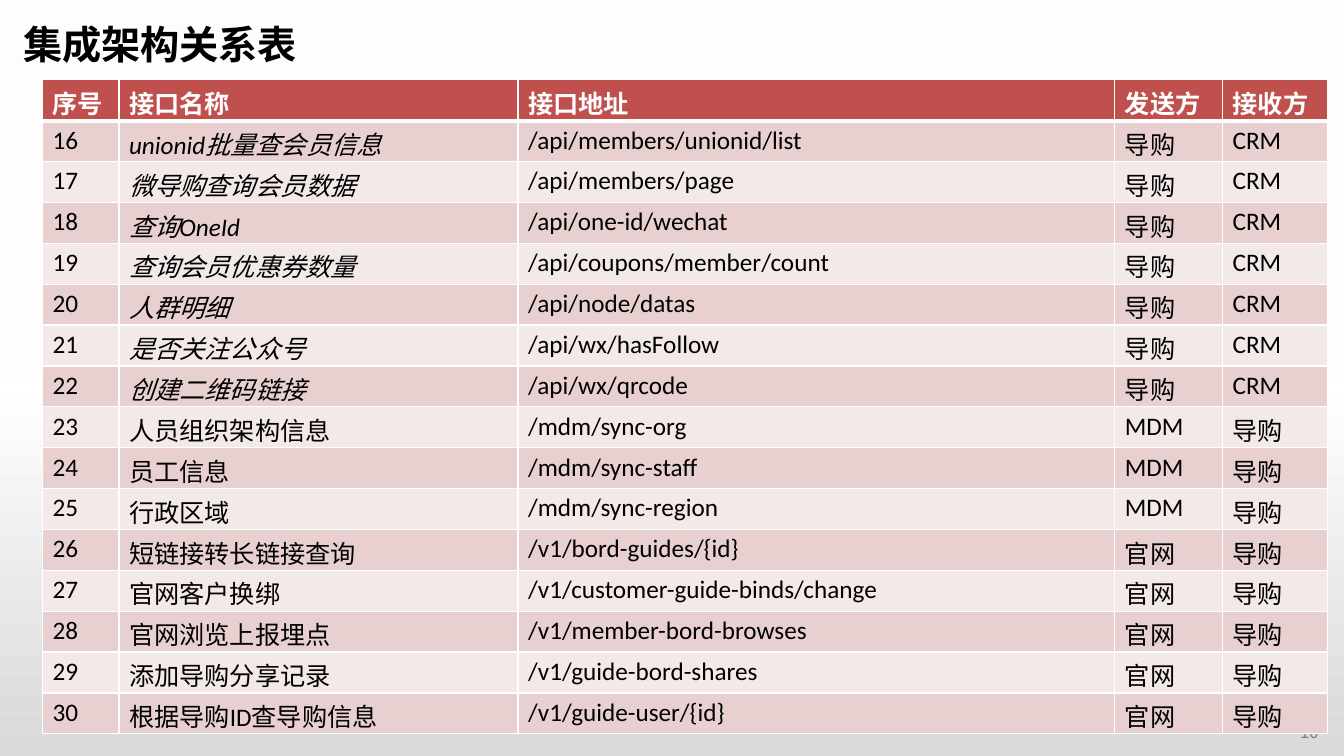
"""Build the integration architecture interface table slide."""
from copy import deepcopy
from typing import NamedTuple

from pptx import Presentation
from pptx.dml.color import RGBColor as Rgb
from pptx.enum.text import MSO_ANCHOR as Anchor
from pptx.oxml import parse_xml
from pptx.oxml.ns import nsdecls, qn
from pptx.util import Pt

COLORS = {
    "top": "FDFDFD", "middle": "FFFFFF", "bottom": "D9D9D9",
    "header": "C0504D", "odd": "E8D0D0", "even": "F4E9E9",
    "white": "FFFFFF", "black": "000000", "gray": "808080",
}
CJK_FONT = "Noto Sans CJK SC"
LATIN_FONT = "Calibri"
COLUMN_WIDTHS = (54.7, 285.1, 426.2, 77, 74.9)
ROW_HEIGHT = 29.2
FIRST_NUMBER = 16


class TextStyle(NamedTuple):
    size: float
    font: str
    color: str
    bold: bool = False
    italic: bool = False


class Label(NamedTuple):
    text: str
    left: float
    top: float
    width: float
    height: float
    style: TextStyle


class Interface(NamedTuple):
    name: str
    address: str
    sender: str
    receiver: str
    italic: bool = False


PAGE_NUMBER = Label("10", 921.6, 512.6, 36.7, 20.9, TextStyle(12, CJK_FONT, "gray"))
TITLE = Label("集成架构关系表", 9.4, 10.8, 547.9, 41, TextStyle(28, CJK_FONT, "black", True))
HEADINGS = ("序号", "接口名称", "接口地址", "发送方", "接收方")
INTERFACES = (
    Interface("unionid批量查会员信息", "/api/members/unionid/list", "导购", "CRM", True),
    Interface("微导购查询会员数据", "/api/members/page", "导购", "CRM", True),
    Interface("查询OneId", "/api/one-id/wechat", "导购", "CRM", True),
    Interface("查询会员优惠券数量", "/api/coupons/member/count", "导购", "CRM", True),
    Interface("人群明细", "/api/node/datas", "导购", "CRM", True),
    Interface("是否关注公众号", "/api/wx/hasFollow", "导购", "CRM", True),
    Interface("创建二维码链接", "/api/wx/qrcode", "导购", "CRM", True),
    Interface("人员组织架构信息", "/mdm/sync-org", "MDM", "导购"),
    Interface("员工信息", "/mdm/sync-staff", "MDM", "导购"),
    Interface("行政区域", "/mdm/sync-region", "MDM", "导购"),
    Interface("短链接转长链接查询", "/v1/bord-guides/{id}", "官网", "导购"),
    Interface("官网客户换绑", "/v1/customer-guide-binds/change", "官网", "导购"),
    Interface("官网浏览上报埋点", "/v1/member-bord-browses", "官网", "导购"),
    Interface("添加导购分享记录", "/v1/guide-bord-shares", "官网", "导购"),
    Interface("根据导购ID查导购信息", "/v1/guide-user/{id}", "官网", "导购"),
)


def rgb(name: str) -> Rgb:
    return Rgb.from_string(COLORS[name])


def write(frame, text: str, style: TextStyle) -> None:
    frame.text = text
    for span in frame.paragraphs[0].runs:
        font = span.font
        font.size, font.name = Pt(style.size), style.font
        font.bold, font.italic = style.bold, style.italic
        font.color.rgb = rgb(style.color)
        east_asian = parse_xml(f'<a:ea {nsdecls("a")} typeface="{CJK_FONT}"/>')
        font._element.find(qn("a:latin")).addnext(east_asian)


def paint_background(page) -> None:
    fill = page.background.fill
    fill.gradient()
    fill.gradient_angle = 270
    first, last = fill.gradient_stops
    first.position, last.position = 0, 1
    first.color.rgb, last.color.rgb = rgb("middle"), rgb("bottom")
    stops = page.element.find(f".//{qn('a:gsLst')}")
    middle = deepcopy(stops[0])
    middle.set("pos", "50000")
    stops.insert(1, middle)
    first.color.rgb = rgb("top")


def add_label(page, label: Label) -> None:
    box = page.shapes.add_textbox(
        Pt(label.left), Pt(label.top), Pt(label.width), Pt(label.height))
    frame = box.text_frame
    frame.word_wrap = True
    frame.vertical_anchor = Anchor.MIDDLE
    write(frame, label.text, label.style)


def add_borders(cell, top: float, bottom: float) -> None:
    properties = cell._tc.get_or_add_tcPr()
    widths = {"L": 1, "R": 1, "T": top, "B": bottom}
    for index, (side, width) in enumerate(widths.items()):
        properties.insert(index, parse_xml(
            f'<a:ln{side} {nsdecls("a")} w="{Pt(width)}"><a:solidFill>'
            f'<a:srgbClr val="{COLORS["white"]}"/></a:solidFill></a:ln{side}>'))


def fill_row(cells, texts: tuple, row: int, italic: bool) -> None:
    is_header = row == 0
    fill_name = "header" if is_header else ("odd" if row % 2 else "even")
    for column, (cell, text) in enumerate(zip(cells, texts)):
        cell.margin_top, cell.margin_bottom = Pt(3.1), Pt(0)
        cell.fill.solid()
        cell.fill.fore_color.rgb = rgb(fill_name)
        add_borders(cell, 3 if row == 1 else 1, 3 if is_header else 1)
        write(cell.text_frame, text, TextStyle(
            18, LATIN_FONT, "white" if is_header else "black",
            is_header, italic and column == 1))


def add_interface_table(page) -> None:
    count = len(INTERFACES) + 1
    table = page.shapes.add_table(
        count, len(HEADINGS), Pt(30.3), Pt(57), Pt(sum(COLUMN_WIDTHS)),
        Pt(ROW_HEIGHT * count)).table
    table.horz_banding = False
    for column, width in zip(table.columns, COLUMN_WIDTHS):
        column.width = Pt(width)
    for row in table.rows:
        row.height = Pt(ROW_HEIGHT)
    fill_row(table.rows[0].cells, HEADINGS, 0, False)
    for row, item in enumerate(INTERFACES, start=1):
        texts = (str(FIRST_NUMBER + row - 1), *item[:4])
        fill_row(table.rows[row].cells, texts, row, item.italic)


def main() -> None:
    deck = Presentation()
    deck.slide_width, deck.slide_height = Pt(960), Pt(540)
    page = deck.slides.add_slide(deck.slide_layouts[6])
    paint_background(page)
    for label in (PAGE_NUMBER, TITLE):
        add_label(page, label)
    add_interface_table(page)
    deck.save("out.pptx")


if __name__ == "__main__":
    main()
